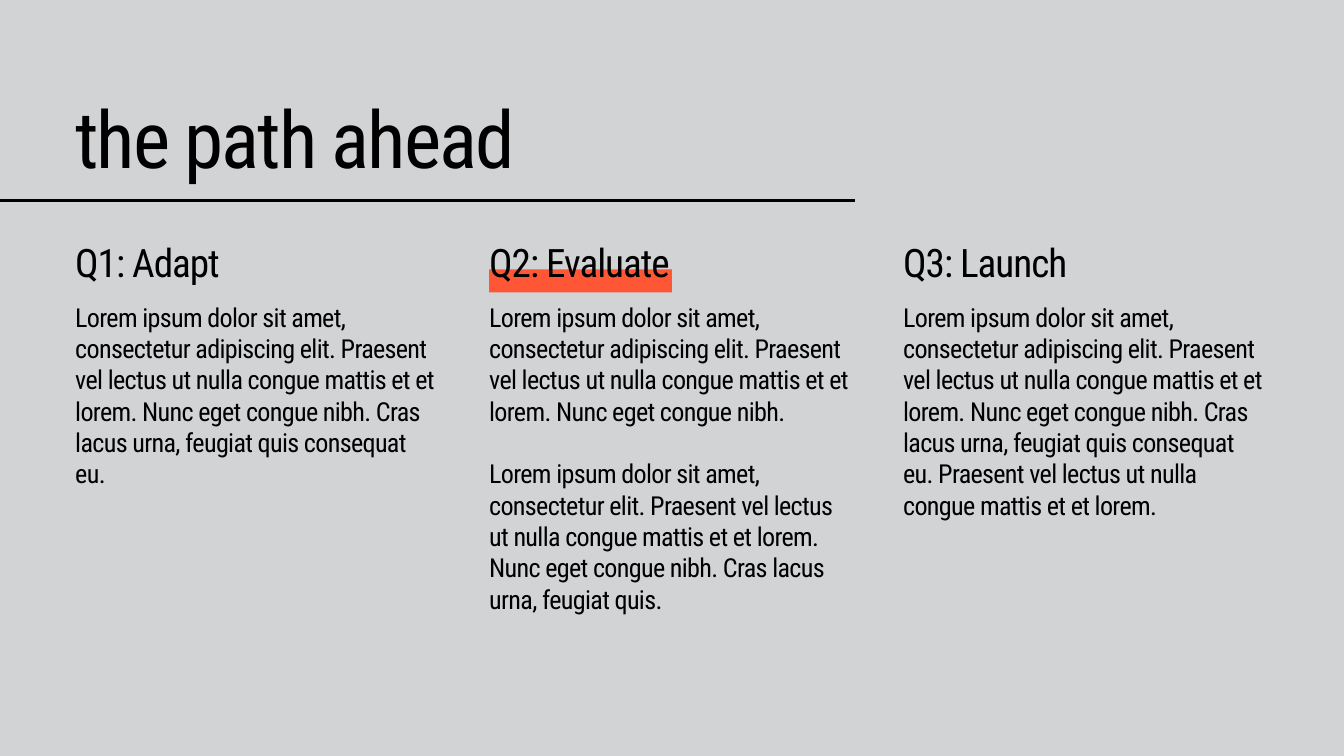
"""Build the "the path ahead" slide with three quarterly columns."""
from lxml import etree
from pptx import Presentation
from pptx.dml.color import RGBColor
from pptx.enum.shapes import MSO_CONNECTOR, MSO_SHAPE
from pptx.enum.text import MSO_ANCHOR, MSO_AUTO_SIZE, PP_ALIGN
from pptx.oxml.ns import qn
from pptx.util import Inches, Pt

STRAIGHT = MSO_CONNECTOR.STRAIGHT
RECTANGLE = MSO_SHAPE.RECTANGLE
TOP = MSO_ANCHOR.TOP
NO_AUTOFIT = MSO_AUTO_SIZE.NONE
LEFT = PP_ALIGN.LEFT

FONT = "Roboto Condensed"
COLORS = {"background": "D1D3D4", "ink": "000000", "highlight": "FF5636"}
MARGIN = 1.12
COLUMN_WIDTH = 5.44
COLUMN_PITCH = (20 - 2 * MARGIN - COLUMN_WIDTH) / 2
HIGHLIGHTED = "Q2: Evaluate"

INTRO = (
    "Lorem ipsum dolor sit amet, consectetur adipiscing elit. Praesent vel "
    "lectus ut nulla congue mattis et et lorem. Nunc eget congue nibh."
)
ADAPT = INTRO + " Cras lacus urna, feugiat quis consequat eu."
LAUNCH = ADAPT + " Praesent vel lectus ut nulla congue mattis et et lorem."
EVALUATE = (
    "Lorem ipsum dolor sit amet, consectetur elit. Praesent vel lectus ut "
    "nulla congue mattis et et lorem. Nunc eget congue nibh. Cras lacus urna, "
    "feugiat quis."
)
COLUMNS = [
    ("Q1: Adapt", [ADAPT], 2.29),
    (HIGHLIGHTED, [INTRO, EVALUATE], 4.58),
    ("Q3: Launch", [LAUNCH], 2.75),
]


def write_text(shape, paragraphs, *, size, leading, tracking, gap=0):
    frame = shape.text_frame
    frame.word_wrap = True
    frame.auto_size = NO_AUTOFIT
    frame.vertical_anchor = TOP
    frame.margin_left = frame.margin_right = 0
    frame.margin_top = frame.margin_bottom = 0
    for index, text in enumerate(paragraphs):
        paragraph = frame.add_paragraph() if index else frame.paragraphs[0]
        paragraph.alignment = LEFT
        paragraph.line_spacing = Pt(leading)
        paragraph.space_before = Pt(gap if index else 0)
        run = paragraph.add_run()
        run.text = text
        run.font.name = FONT
        run.font.size = Pt(size)
        run.font.color.rgb = RGBColor.from_string(COLORS["ink"])
        run.font._element.set("spc", str(round(tracking * 100)))


presentation = Presentation()
presentation.slide_width = Inches(20)
presentation.slide_height = Inches(11.25)
slide = presentation.slides.add_slide(presentation.slide_layouts[5])
slide.background.fill.solid()
slide.background.fill.fore_color.rgb = RGBColor.from_string(COLORS["background"])

title = slide.shapes.title
title.left, title.top = Inches(MARGIN), Inches(1.56)
title.width, title.height = Inches(11.6), Inches(1.23)
write_text(title, ["the path ahead"], size=85, leading=85, tracking=-2.1)

rule = slide.shapes.add_connector(
    STRAIGHT, Inches(0), Inches(2.98), Inches(12.72), Inches(2.98)
)
rule.line.color.rgb = RGBColor.from_string(COLORS["ink"])
rule.line.width = Pt(3)
etree.SubElement(rule._element.spPr, qn("a:effectLst"))

for index, (heading, paragraphs, body_height) in enumerate(COLUMNS):
    left = Inches(MARGIN + index * COLUMN_PITCH)
    if heading == HIGHLIGHTED:
        highlight = slide.shapes.add_shape(
            RECTANGLE, left, Inches(4.01), Inches(2.72), Inches(0.34)
        )
        highlight.shadow.inherit = False
        highlight.fill.solid()
        highlight.fill.fore_color.rgb = RGBColor.from_string(COLORS["highlight"])
        highlight.line.fill.background()
    heading_box = slide.shapes.add_textbox(
        left, Inches(3.55), Inches(COLUMN_WIDTH), Inches(0.7)
    )
    write_text(heading_box, [heading], size=42, leading=50.4, tracking=-1.1)
    body_box = slide.shapes.add_textbox(
        left, Inches(4.48), Inches(COLUMN_WIDTH), Inches(body_height)
    )
    write_text(
        body_box, paragraphs, size=28, leading=33.6, tracking=-0.7, gap=33.6
    )

presentation.save("out.pptx")
